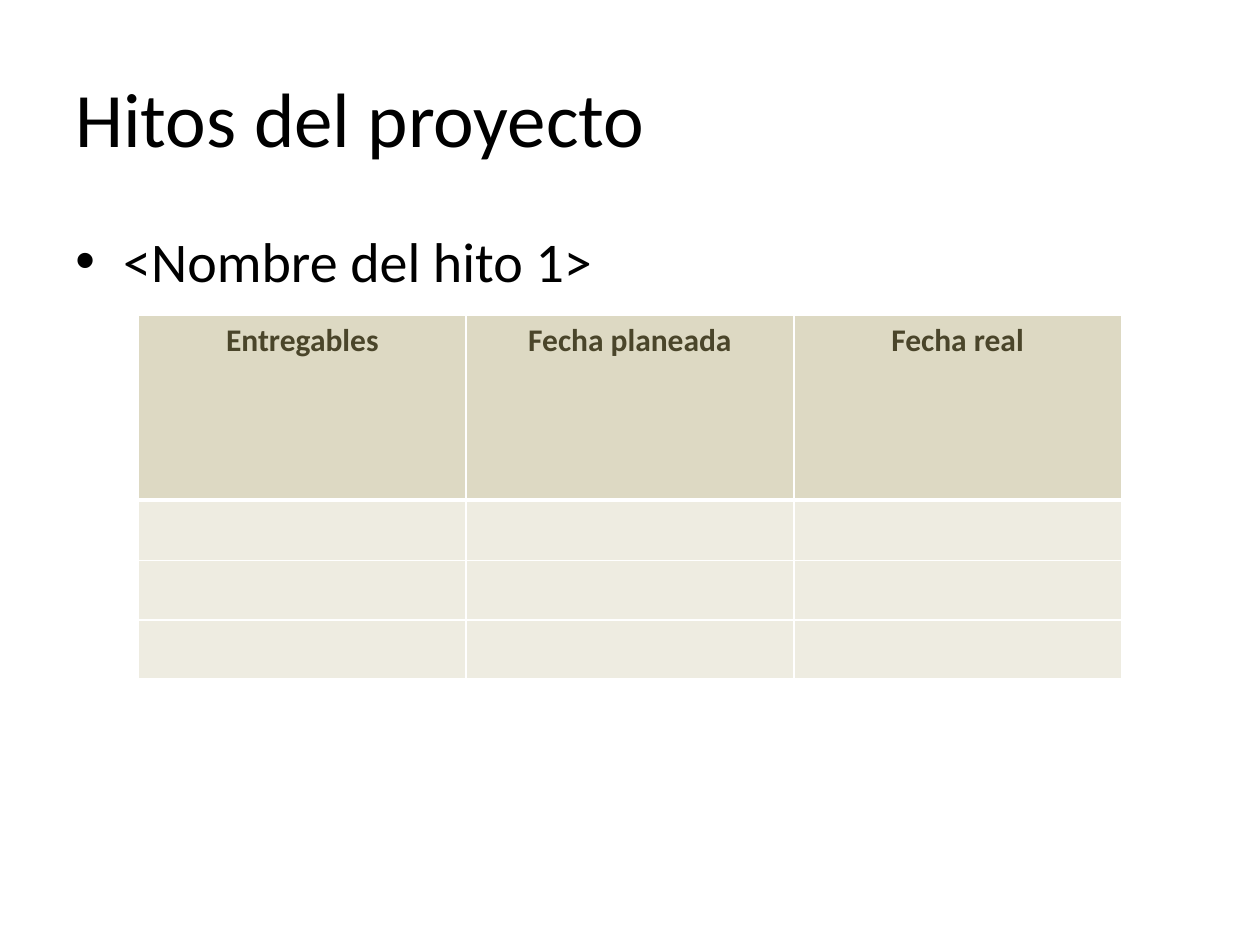
from lxml.etree import SubElement
from pptx import Presentation
from pptx.dml.color import RGBColor
from pptx.enum.text import MSO_ANCHOR, PP_ALIGN
from pptx.oxml.ns import qn
from pptx.util import Inches, Pt

HEADERS = ["Entregables", "Fecha planeada", "Fecha real"]
ROW_HEIGHTS = [1.47, 0.48, 0.47, 0.47]
COLUMN_WIDTH = 2.6


def color(value):
    return RGBColor.from_string(value)


def write(paragraph, text, size, ink, **formats):
    run = paragraph.add_run()
    run.text = text
    run.font.color.rgb = color(ink)
    for name, value in {"name": "Calibri", "size": Pt(size), **formats}.items():
        setattr(run.font, name, value)


def add_text(slide, box, text, size, anchor):
    frame = slide.shapes.add_textbox(*map(Inches, box)).text_frame
    for name, value in {"word_wrap": True, "vertical_anchor": anchor}.items():
        setattr(frame, name, value)
    paragraph = frame.paragraphs[0]
    write(paragraph, text, size, "000000")
    return paragraph


def add_bullet(paragraph, indent, space):
    paragraph.space_before = Pt(space)
    properties = paragraph._p.get_or_add_pPr()
    properties.set("marL", str(Inches(indent)))
    properties.set("indent", str(-Inches(indent)))
    SubElement(properties, qn("a:buFont"), typeface="Arial")
    SubElement(properties, qn("a:buChar"), char="•")


def add_borders(cell, widths):
    properties = cell._tc.get_or_add_tcPr()
    for side, width in widths.items():
        border = SubElement(properties, qn(f"a:ln{side}"), w=str(Pt(width)))
        fill = SubElement(border, qn("a:solidFill"))
        SubElement(fill, qn("a:srgbClr"), val="FFFFFF")


def style_cell(cell, row):
    add_borders(cell, {"L": 1, "R": 1, "T": 3 if row == 1 else 1, "B": 3 if row == 0 else 1})
    cell.fill.solid()
    cell.fill.fore_color.rgb = color("EEECE1" if row else "DDD9C3")


def add_milestone_table(slide, left, top):
    width = COLUMN_WIDTH * len(HEADERS)
    table = slide.shapes.add_table(
        len(ROW_HEIGHTS), len(HEADERS),
        *map(Inches, (left, top, width, sum(ROW_HEIGHTS))),
    ).table
    for column in table.columns:
        column.width = Inches(COLUMN_WIDTH)
    for row, height in enumerate(ROW_HEIGHTS):
        table.rows[row].height = Inches(height)
        for cell in table.rows[row].cells:
            style_cell(cell, row)
    for cell, header in zip(table.rows[0].cells, HEADERS):
        paragraph = cell.text_frame.paragraphs[0]
        paragraph.alignment = PP_ALIGN.CENTER
        write(paragraph, header, 18, "4A452A", bold=True)


def main():
    deck = Presentation()
    deck.slide_width, deck.slide_height = Inches(10), Inches(7.5)
    slide = deck.slides.add_slide(deck.slide_layouts[6])
    add_text(slide, (0.5, 0.3, 9, 1.25), "Hitos del proyecto", 44, MSO_ANCHOR.MIDDLE)
    milestone = add_text(slide, (0.5, 1.75, 9, 0.91), "<Nombre del hito 1>", 32, MSO_ANCHOR.TOP)
    add_bullet(milestone, 0.38, 6.4)
    add_milestone_table(slide, 1.1, 2.5)
    deck.save("out.pptx")


main()
